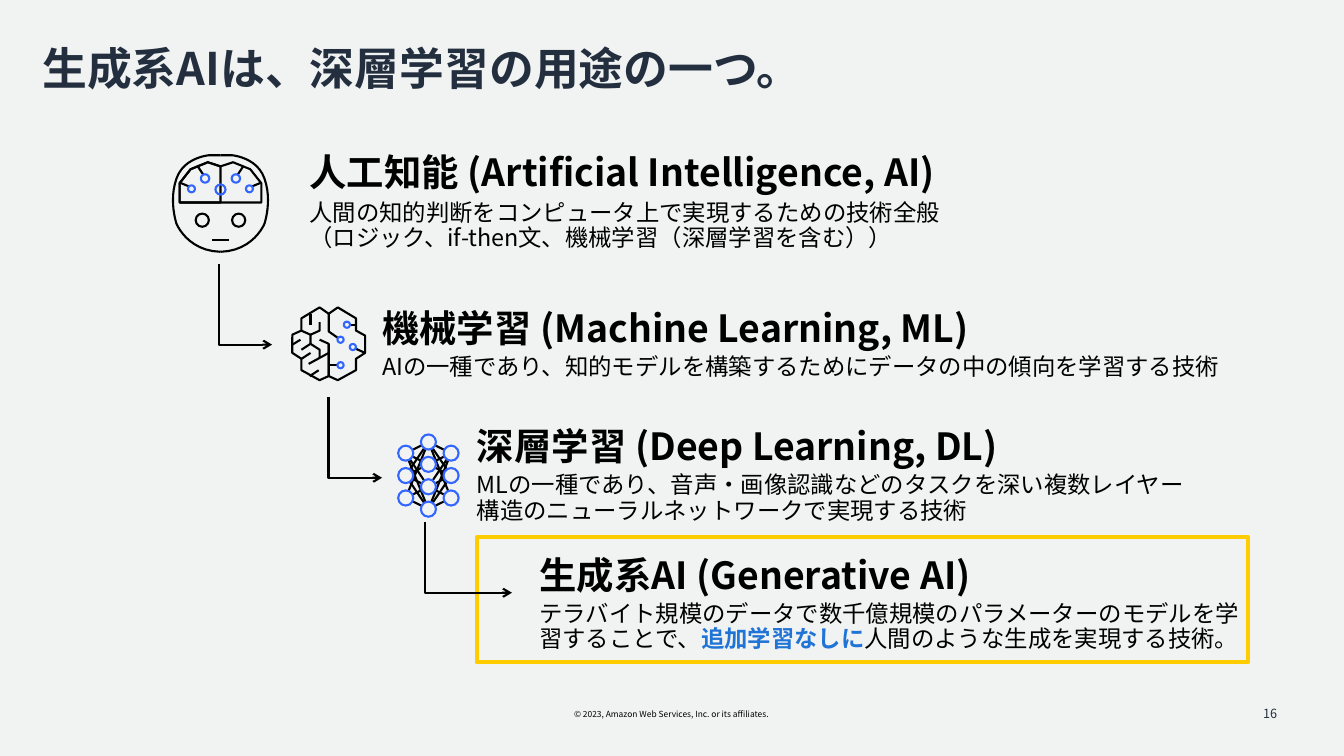
from itertools import product
from math import hypot

from lxml.etree import SubElement
from pptx import Presentation
from pptx.dml.color import RGBColor
from pptx.enum.shapes import MSO_CONNECTOR as CONN, MSO_SHAPE as SHAPE
from pptx.enum.text import MSO_ANCHOR as ANCHOR, PP_ALIGN as ALIGN
from pptx.oxml.ns import qn
from pptx.util import Pt

FONT = "Noto Sans CJK JP"
BLACK, NAVY, NODE_BLUE = "000000", "232F3E", "3366FF"


def color(hex_code):
    return RGBColor.from_string(hex_code)


# ---- Text ----
def text_box(s, box, inset=(0, 0), anchor=ANCHOR.MIDDLE, wrap=True):
    tf = s.shapes.add_textbox(*map(Pt, box)).text_frame
    tf.word_wrap = wrap
    tf.vertical_anchor = anchor
    tf.margin_left = tf.margin_right = Pt(inset[0])
    tf.margin_top = tf.margin_bottom = Pt(inset[1])
    return tf


def add_text(p, text, size, fill=BLACK, bold=False):
    for i, line in enumerate(text.split("\n")):
        if i:
            p.add_line_break()
        r = p.add_run()
        r.text = line
        r.font.size, r.font.bold, r.font.name = Pt(size), bold, FONT
        r.font.color.rgb = color(fill)
        SubElement(r.font._element, qn("a:ea")).set("typeface", FONT)


# ---- Drawing ----
def outline(sp, hex_code=BLACK, width=1.5):
    sp.line.color.rgb = color(hex_code)
    sp.line.width = Pt(width)


def stroke(shapes, points, close=False):
    (x, y), *rest = [(Pt(a), Pt(b)) for a, b in points]
    fb = shapes.build_freeform(x, y)
    fb.add_line_segments(rest, close=close)
    sp = fb.convert_to_shape()
    sp.fill.background()
    sp.shadow.inherit = False
    outline(sp)
    return sp


def line(shapes, x1, y1, x2, y2):
    c = shapes.add_connector(CONN.STRAIGHT, Pt(x1), Pt(y1), Pt(x2), Pt(y2))
    outline(c)
    SubElement(c._element.spPr, qn("a:effectLst"))


def ring(shapes, cx, cy, d, hex_code=NODE_BLUE):
    sp = shapes.add_shape(SHAPE.OVAL, Pt(cx - d / 2), Pt(cy - d / 2), Pt(d), Pt(d))
    sp.fill.background()
    sp.shadow.inherit = False
    outline(sp, hex_code)


def bezier(p0, p1, p2, p3, steps=12):
    for k in range(1, steps + 1):
        t = k / steps
        weights = ((1 - t) ** 3, 3 * t * (1 - t) ** 2, 3 * t * t * (1 - t), t ** 3)
        yield tuple(sum(w * v for w, v in zip(weights, axis))
                    for axis in zip(p0, p1, p2, p3))


# ---- Icons ----
def face_icon(s, box):
    x, y, w, h = box
    cx, g = x + w / 2, s.shapes.add_group_shape().shapes

    def place(points, side=1):
        return [(cx + side * a, y + b) for a, b in points]

    # Head: one half, mirrored
    half = [(0, 0), (8, 0)]
    half += bezier((8, 0), (8, 0), (26.2, 1.4), (31.4, 16.6))
    half += bezier((31.4, 16.6), (37.1, 32.4), (31.4, 49), (31.4, 49))
    half += bezier((31.4, 49), (31.4, 49), (23.6, 68.4), (0, h))
    # Brain
    lobe = [(0, 8), (9, 5), (21.3, 10), (29.2, 20), (29.2, 33.8), (0, 33.8)]
    stroke(g, place(lobe, -1) + place(lobe[-2:0:-1]), close=True)
    stroke(g, place(lobe, -1), close=True)
    for side in (-1, 1):
        stroke(g, place(half, side))
        ring(g, cx + side * 13, y + 46.4, 9.4, BLACK)
        for a, b in (((16.2, 8), (12.4, 13.7)), ((29.2, 19.5), (22.4, 22.3))):
            line(g, *place([a], side)[0], *place([b], side)[0])
        ring(g, cx + side * 11, y + 16.6, 6)
        ring(g, cx + side * 20.7, y + 24, 5)
    ring(g, cx, y + 24.5, 7.2)
    line(g, cx - 6, y + 60.5, cx + 6, y + 60.5)  # mouth


# Folds of the brain on an 8 by 8 grid
BRAIN_FOLDS = [
    [(0, 5), (0, 3.2)],
    [(2, 4.1), (2, 3), (3, 2.55), (3, 1.6)],
    [(2, 3), (1, 2.55)],
    [(2, 1.9), (2, 0.7)],
    [(0, 4.1), (0.9, 3.55)],
    [(1, 5.65), (2, 5)],
    [(1.9, 7.55), (2.9, 6.9)],
    [(1.8, 6.2), (4, 5)],
    [(1, 4.65), (2, 4)],
    [(4, 0.7), (3, 0), (1, 1.2), (1, 2.55), (0, 3), (0, 5), (1, 5.65),
     (1, 6.9), (3, 8), (4, 7.55), (4, 4), (3, 3.55)],
    [(3, 5.55), (3, 4.65), (2, 4)],
    [(8, 3.2), (8, 5)],
    [(7, 4.55), (8, 5)],
    [(7, 1.9), (6.35, 1.9)],
    [(4, 6.35), (5, 6.35)],
    [(5, 3.35), (4, 2.65), (4, 0.7), (5, 0), (7, 1.2), (7, 2.55), (8, 3.1),
     (8, 5), (7, 5.65), (7, 6.9), (5, 8), (4, 7.55), (4, 4.1)],
]
BRAIN_NODES = [(6, 1.9), (6.65, 4.35), (5.3, 3.55), (5.3, 6.35)]


def brain_icon(s, box):
    x, y, w, h = box
    g = s.shapes.add_group_shape().shapes
    for fold in BRAIN_FOLDS:
        stroke(g, [(x + a * w / 8, y + b * h / 8) for a, b in fold])
    for a, b in BRAIN_NODES:
        ring(g, x + a * w / 8, y + b * h / 8, 4.4)


def network_icon(s, box, d=10.8):
    x, y, w, h = box
    g = s.shapes.add_group_shape().shapes
    pitch, mid_x = (h - d) / 3, x + w / 2
    mid_ys = [y + d / 2 + j * pitch for j in range(4)]
    side_ys = [v + pitch / 2 for v in mid_ys[:3]]
    # Edges run from rim to rim
    for side_x in (x + d / 2, x + w - d / 2):
        for i, j in product(range(3), range(4)):
            if (i, j) == (2, 1):
                continue
            dx, dy = mid_x - side_x, mid_ys[j] - side_ys[i]
            k = d / 2 / hypot(dx, dy)
            line(g, side_x + k * dx, side_ys[i] + k * dy,
                 mid_x - k * dx, mid_ys[j] - k * dy)
    for cx, ys in ((x + d / 2, side_ys), (mid_x, mid_ys), (x + w - d / 2, side_ys)):
        for cy in ys:
            ring(g, cx, cy, d)


# ---- Slide regions ----
def level(s, box, heading, body, inset=0, gap=3.3):
    """body is a list of (text, format) pairs that make one paragraph."""
    tf = text_box(s, box, (inset, 0))
    p = tf.paragraphs[0]
    p.line_spacing = 0.9
    add_text(p, heading, 26.7, bold=True)
    p = tf.add_paragraph()
    p.line_spacing, p.space_before = 0.9, Pt(gap)
    for text, fmt in body:
        add_text(p, text, 16.7, **fmt)


def step_arrow(s, box):
    x, y, w, h = box
    sp = stroke(s.shapes, [(x, y), (x, y + h), (x + w, y + h)])
    SubElement(sp.line._get_or_add_ln(), qn("a:tailEnd")).set("type", "arrow")


def highlight(s, box):
    sp = s.shapes.add_shape(SHAPE.RECTANGLE, *map(Pt, box))
    sp.fill.background()
    sp.shadow.inherit = False
    outline(sp, "FFCC00", 3)


def title(s, box, text):
    p = text_box(s, box, (0, 3.6), ANCHOR.TOP).paragraphs[0]
    p.line_spacing = 0.9
    add_text(p, text, 32, NAVY, True)


def footer(s, notice_box, number_box):
    p = text_box(s, notice_box, (7.2, 3.6), ANCHOR.TOP, False).paragraphs[0]
    p.alignment = ALIGN.CENTER
    add_text(p, "© 2023, Amazon Web Services, Inc. or its affiliates.", 6)
    p = text_box(s, number_box, (7.2, 3.6)).paragraphs[0]
    p.alignment = ALIGN.RIGHT
    add_text(p, "16", 9, NAVY)


def main():
    prs = Presentation()
    prs.slide_width, prs.slide_height = Pt(960), Pt(540)
    s = prs.slides.add_slide(prs.slide_layouts[6])
    s.background.fill.solid()
    s.background.fill.fore_color.rgb = color("F1F3F3")

    title(s, (30.2, 30.2, 902.9, 43.2), "生成系AIは、深層学習の用途の一つ。")
    face_icon(s, (123, 110.9, 69, 69))
    level(s, (208.8, 105.8, 517, 78.5), "人工知能 (Artificial Intelligence, AI)",
          [("人間の知的判断をコンピュータ上で実現するための技術全般\n"
            "（ロジック、if-then文、機械学習（深層学習を含む））", {})], 12.2, 5)
    brain_icon(s, (208.8, 219.6, 52, 52))
    level(s, (272.9, 209.5, 609.8, 74.2), "機械学習 (Machine Learning, ML)",
          [("AIの一種であり、知的モデルを構築するためにデータの中の傾向を学習する技術", {})])
    network_icon(s, (284.4, 310.3, 43.2, 58.8))
    level(s, (340.6, 301, 514.8, 78.5), "深層学習 (Deep Learning, DL)",
          [("MLの一種であり、音声・画像認識などのタスクを深い複数レイヤー"
            "構造のニューラルネットワークで実現する技術", {})])
    highlight(s, (340.6, 383.8, 550.8, 89.3))
    level(s, (385.2, 393.1, 514.8, 78.5), "生成系AI (Generative AI)",
          [("テラバイト規模のデータで数千億規模のパラメーターのモデルを学習することで、", {}),
           ("追加学習なしに", {"fill": "2074D5", "bold": True}),
           ("人間のような生成を実現する技術。", {})])
    for box in ((156.2, 188.6, 38.2, 57.6), (234.7, 283.7, 38.2, 57.6),
                (303.8, 373, 61.9, 50.4)):
        step_arrow(s, box)
    footer(s, (395.3, 503.3, 168.5, 14.4), (703.4, 495.4, 216, 28.8))
    prs.save("out.pptx")


if __name__ == "__main__":
    main()
